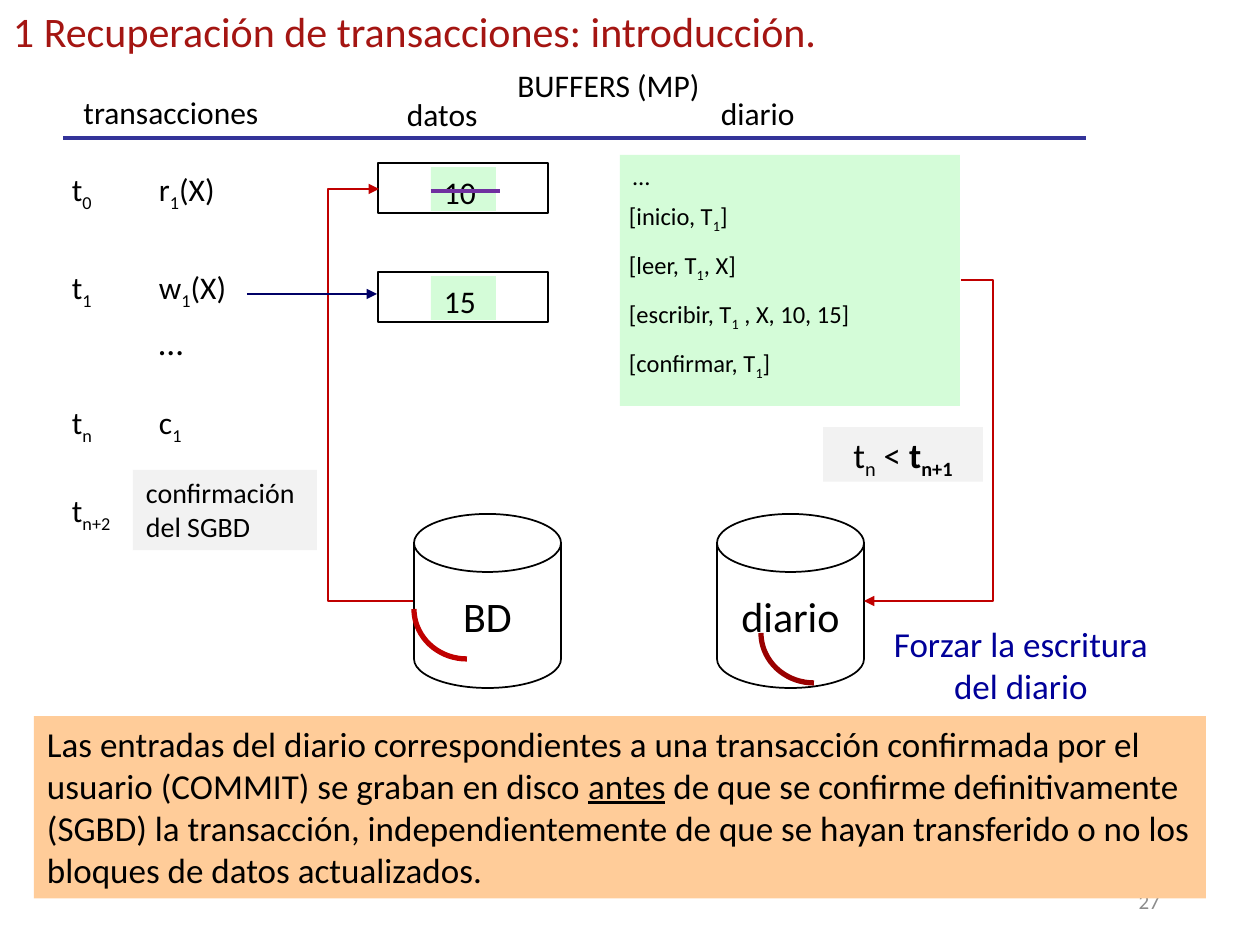
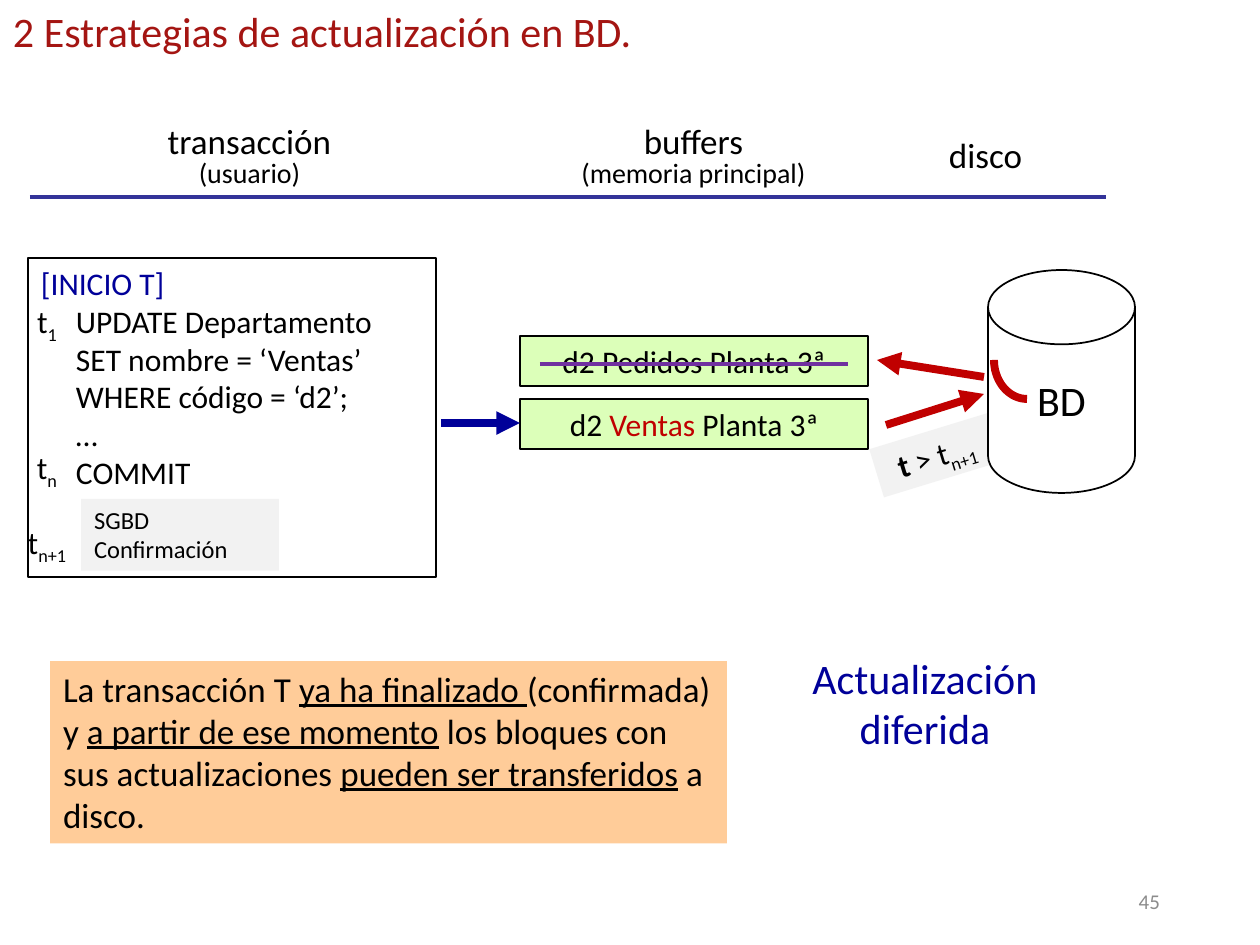
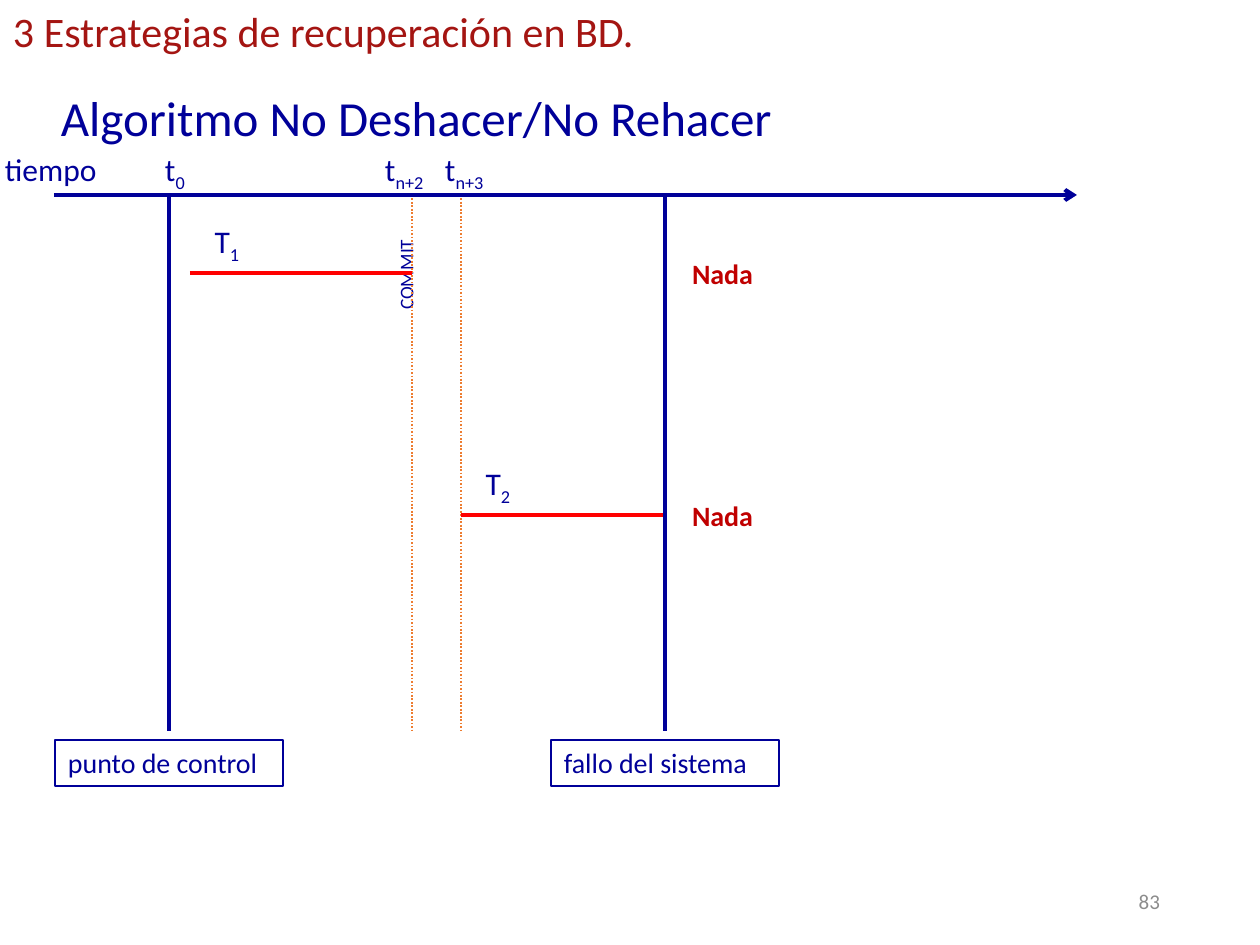
"""Builds three slides on transaction recovery and update strategies in databases."""
import math

from lxml import etree
from pptx import Presentation
from pptx.dml.color import RGBColor
from pptx.enum.dml import MSO_LINE
from pptx.enum.shapes import MSO_CONNECTOR, MSO_SHAPE
from pptx.enum.text import MSO_ANCHOR, MSO_AUTO_SIZE, PP_ALIGN
from pptx.oxml.ns import qn
from pptx.util import Pt

PX = 914400 / 126
FONT = "Calibri"
TITLE_ONLY = 5
RECT, DISK = MSO_SHAPE.RECTANGLE, MSO_SHAPE.FLOWCHART_MAGNETIC_DISK
LEFT, CENTER, RIGHT = PP_ALIGN.LEFT, PP_ALIGN.CENTER, PP_ALIGN.RIGHT
TOP, MIDDLE = MSO_ANCHOR.TOP, MSO_ANCHOR.MIDDLE
STRAIGHT, ELBOW = MSO_CONNECTOR.STRAIGHT, MSO_CONNECTOR.ELBOW
DOTTED = MSO_LINE.ROUND_DOT
NO_AUTO_SIZE = MSO_AUTO_SIZE.NONE

COLORS = {
    "black": "000000", "white": "FFFFFF", "title": "A41512", "number": "8C8C8C",
    "rule": "333399", "navy": "000099", "dark navy": "000066", "red": "C00000",
    "dark red": "990000", "bright red": "FF0000", "purple": "7030A0",
    "orange": "ED7D31", "peach": "FFCC99", "mint": "D4FCD8", "lime": "DCFFB9",
    "gray": "F2F2F2",
}

# In texts: ~subscript~, _underlined_, *bold*, ^red^.
BASE = {"size": 18, "width": 124, "color": "black", "align": LEFT, "anchor": TOP,
        "inset": 13}
TITLE = {"size": 24, "width": 837, "color": "title"}
NUMBER = {"size": 12, "width": 283, "height": 50, "color": "number",
          "align": RIGHT, "anchor": MIDDLE}
CENTERED = {"align": CENTER}
MOMENT = {"width": 74}
MOMENT_CENTERED = {**MOMENT, **CENTERED}
NAVY = {"color": "navy"}
NAVY_MOMENT = {**NAVY, **MOMENT}
NAVY_LABEL = {**NAVY, **MOMENT_CENTERED}
VERTICAL = {**NAVY, **CENTERED, "size": 11, "rotation": 270}
SUBTITLE = {**NAVY, "size": 28, "width": 820}
TIME = {**NAVY, "inset": 0}
FRAME = {"line": "black", "width": 170}
NAVY_FRAME = {**NAVY, "line": "navy", "size": 16, "width": 228}
SLOGAN = {**NAVY, **CENTERED, "width": 300, "rows": 2}
BIG_SLOGAN = {**SLOGAN, "size": 24}
SLOGAN = {**SLOGAN, "size": 20}
NOTE = {"fill": "peach", "size": 20, "rows": 4}
WIDE_NOTE = {**NOTE, "width": 1172}
NARROW_NOTE = {**NOTE, "width": 677}
TAG = {"fill": "gray"}
CONFIRMATION = {**TAG, "size": 16, "width": 184, "rows": 2}
SMALL_CONFIRMATION = {**TAG, "size": 14, "width": 198}
ORDER = {**TAG, **CENTERED, "size": 20, "width": 160}
TILTED_TAG = {**TAG, **CENTERED, "rotation": 343}
RECORD = {**FRAME, **CENTERED, "fill": "lime", "width": 348, "inset": 0}
STORE = {**CENTERED, "shape": DISK, "fill": "white", "line": "black", "size": 24,
         "width": 147, "height": 174, "anchor": MIDDLE}
TALL_STORE = {**STORE, "height": 223}
VALUE = {"fill": "mint", "width": 65, "height": 44}
LOG_PANEL = {"fill": "mint", "size": 14, "width": 340, "height": 251}
LOG_ENTRY = {"size": 14, "width": 315}
ELLIPSIS = {"size": 20, "height": 25, "spacing": 0.15}
INDENTED = {"left": 76, "width": 315}
TRANSACTIONS = {**INDENTED, **CENTERED}
DISK_HEADING = {**INDENTED, "size": 20}
HEADING = {**TRANSACTIONS, "size": 20, "width": 416, "height": 83,
           "later": {"size": 16, "spacing": 0.85}}
CODE = {**NAVY, **FRAME, "width": 408, "height": 319,
        "later": {"color": "black", "indent": 35}}
OUTCOME = {"color": "red", "bold": True, "size": 16, "width": 95}

THIN, MEDIUM, THICK = 1, 2.25, 4.5
ARROW = {"tail": "triangle"}
PENS = {
    "rule": ("rule", MEDIUM, {}),
    "strike": ("purple", MEDIUM, {}),
    "transfer": ("red", THIN, ARROW),
    "write": ("dark navy", THIN, ARROW),
    "thick red": ("red", THICK, ARROW),
    "thick navy": ("navy", THICK, ARROW),
    "time": ("navy", MEDIUM, {"tail": "arrow"}),
    "event": ("navy", MEDIUM, {}),
    "instant": ("orange", THIN, {"dash": DOTTED}),
    "activity": ("bright red", MEDIUM, {}),
}

STEPS = [("t~0~", "r~1~(X)", 164), ("t~1~", "w~1~(X)", 262), ("t~n~", "c~1~", 397)]
LOG = ["[inicio, T~1~]", "[leer, T~1~, X]", "[escribir, T~1~ , X, 10, 15]",
       "[confirmar, T~1~]"]
VALUES = [("10", 163), ("15", 272)]
HEADINGS = [("transacción\n(usuario)", 10), ("buffers\n(memoria principal)", 454)]
CODE_MOMENTS = [("t~1~", 296), ("t~n~", 442), ("t~n+1~", 517)]
RECORDS = [("d2 Pedidos Planta 3ª", 336), ("d2 ^Ventas^ Planta 3ª", 399)]
AXIS, BOTTOM = 195, 731
CHECKPOINT, COMMIT, START, FAILURE = 169, 412, 461, 665
TIMES = [("t~0~", 152), ("t~n+2~", 372), ("t~n+3~", 432)]
ACTIVITIES = [("T~1~", 190, COMMIT, 273), ("T~2~", START, FAILURE, 515)]
EVENTS = [("punto de control", CHECKPOINT), ("fallo del sistema", FAILURE)]


def level(left, right, y, pen):
    return (left, y), (right, y), pen


def upright(x, pen):
    return (x, AXIS), (x, BOTTOM), pen


SLIDES = [
    {
        "title": "1 Recuperación de transacciones: introducción.",
        "number": "27",
        "shapes": [
            ("transacciones", -18, 87, TRANSACTIONS),
            ("datos", 394, 89, {}),
            ("diario", 708, 88, {}),
            ("BUFFERS (MP)", 500, 60, {**CENTERED, "width": 217}),
            *[(moment, 59, top, MOMENT) for moment, _, top in STEPS],
            *[(operation, 146, top, {}) for _, operation, top in STEPS],
            ("t~n+2~", 59, 485, MOMENT),
            ("…", 146, 344, ELLIPSIS),
            ("confirmación del SGBD", 133, 470, CONFIRMATION),
            ("…", 620, 155, LOG_PANEL),
            *[(entry, 616, 195 + 49 * row, LOG_ENTRY) for row, entry in enumerate(LOG)],
            *[("", 378, top, FRAME) for _, top in VALUES],
            *[(value, 431, top + 4, VALUE) for value, top in VALUES],
            ("BD", 414, 514, STORE),
            ("diario", 717, 514, STORE),
            ("t~n~ < *t~n+1~*", 823, 427, ORDER),
            ("Forzar la escritura del diario", 871, 616, SLOGAN),
            ("Las entradas del diario correspondientes a una transacción confirmada "
             "por el usuario (COMMIT) se graban en disco _antes_ de que se confirme "
             "definitivamente (SGBD) la transacción, independientemente de que se "
             "hayan transferido o no los bloques de datos actualizados.",
             34, 716, WIDE_NOTE),
        ],
        "lines": [
            level(63, 1086, 138, "rule"),
            ((413, 601), (379, 189), "transfer", 328),
            ((961, 280), (864, 601), "transfer", 993),
            level(247, 377, 294, "write"),
            level(431, 500, 191, "strike"),
        ],
        "arcs": [(414, 609, 53, 50, "red", 3), (761, 633, 53, 50, "dark red", 3)],
    },
    {
        "title": "2 Estrategias de actualización en BD.",
        "number": "45",
        "shapes": [
            *[(text, left, 113, HEADING) for text, left in HEADINGS],
            ("disco", 873, 127, DISK_HEADING),
            ("[INICIO T]\nUPDATE Departamento\nSET nombre = ‘Ventas’\n"
             "WHERE código = ‘d2’;\n…\nCOMMIT", 28, 258, CODE),
            *[(text, 10, top, MOMENT_CENTERED) for text, top in CODE_MOMENTS],
            ("SGBD\nConfirmación", 81, 499, SMALL_CONFIRMATION),
            *[(text, 520, top, RECORD) for text, top in RECORDS],
            ("*t* > t~n+1~", 874, 430, TILTED_TAG),
            ("BD", 988, 270, TALL_STORE),
            ("La transacción T _ya ha finalizado _(confirmada) y _a partir de ese "
             "momento_ los bloques con sus actualizaciones _pueden ser "
             "transferidos_ a disco.", 50, 661, NARROW_NOTE),
            ("Actualización diferida", 775, 646, BIG_SLOGAN),
        ],
        "lines": [
            level(30, 1106, 197, "rule"),
            ((984, 377), (877, 360), "thick red"),
            ((886, 425), (984, 394), "thick red"),
            level(441, 520, 423, "thick navy"),
            level(540, 848, 364, "strike"),
        ],
        "arcs": [(994, 360, 33, 39, "red", THICK)],
    },
    {
        "title": "3 Estrategias de recuperación en BD.",
        "number": "83",
        "shapes": [
            ("Algoritmo No Deshacer/No Rehacer", 48, 82, SUBTITLE),
            ("tiempo", 5, 144, TIME),
            *[(text, left, 144, NAVY_MOMENT) for text, left in TIMES],
            *[(text, left, y - 57, NAVY_LABEL) for text, left, _, y in ACTIVITIES],
            *[("Nada", 679, y - 22, OUTCOME) for *_, y in ACTIVITIES],
            ("COMMIT", 344, 257, VERTICAL),
            *[(text, x - 114, 740, NAVY_FRAME) for text, x in EVENTS],
        ],
        "lines": [
            *[upright(x, "instant") for x in (COMMIT, START)],
            level(54, 1077, AXIS, "time"),
            *[level(left, right, y, "activity") for _, left, right, y in ACTIVITIES],
            *[upright(x, "event") for _, x in EVENTS],
        ],
        "arcs": [],
    },
]


def emu(*lengths):
    return [round(length * PX) for length in lengths]


def rgb(name):
    return RGBColor.from_string(COLORS[name])


def add_runs(paragraph, text):
    active, piece = set(), ""
    for character in text + "\n":
        if character not in "~_*^\n":
            piece += character
            continue
        if piece:
            run = paragraph.add_run()
            run.text = piece
            if "~" in active:
                run.font._element.set("baseline", "-25000")
            if "_" in active:
                run.font.underline = True
            if "*" in active:
                run.font.bold = True
            if "^" in active:
                run.font.color.rgb = rgb("red")
        active ^= {character}
        piece = ""


def write(shape, text, style):
    frame = shape.text_frame
    frame.word_wrap = True
    frame.auto_size = NO_AUTO_SIZE
    frame.vertical_anchor = style["anchor"]
    inset = style["inset"]
    frame.margin_left, frame.margin_right, frame.margin_top, frame.margin_bottom = emu(
        style.get("left", inset), inset, 6, 6)
    for index, line in enumerate(text.split("\n")):
        paragraph = frame.add_paragraph() if index else frame.paragraphs[0]
        if index:
            style = {**style, **style.get("later", {})}
        paragraph.alignment = style["align"]
        if "spacing" in style:
            paragraph.line_spacing = style["spacing"]
        if "indent" in style:
            paragraph._p.get_or_add_pPr().set("marL", str(*emu(style["indent"])))
        font = paragraph.font
        font.name, font.size = FONT, Pt(style["size"])
        font.bold = style.get("bold", False)
        font.color.rgb = rgb(style["color"])
        add_runs(paragraph, line)


def box_height(text, style):
    rows = style.get("rows", len(text.split("\n")))
    return style.get("height", 2.13 * style["size"] * rows + 12)


def paint(shape, fill, line, width):
    shape.shadow.inherit = False
    if fill:
        shape.fill.solid()
        shape.fill.fore_color.rgb = rgb(fill)
    else:
        shape.fill.background()
    if line:
        shape.line.color.rgb = rgb(line)
        shape.line.width = Pt(width)
    else:
        shape.line.fill.background()


def add_box(slide, text, left, top, options):
    style = {**BASE, **options}
    box = emu(left, top, style["width"], box_height(text, style))
    if "fill" in style or "line" in style:
        shape = slide.shapes.add_shape(style.get("shape", RECT), *box)
        paint(shape, style.get("fill"), style.get("line"), THIN)
    else:
        shape = slide.shapes.add_textbox(*box)
    shape.rotation = style.get("rotation", 0)
    if text:
        write(shape, text, style)


def add_line(slide, start, end, pen, via=None):
    color, width, options = PENS[pen]
    kind = ELBOW if via else STRAIGHT
    connector = slide.shapes.add_connector(kind, *emu(*start, *end))
    connector.line.color.rgb = rgb(color)
    connector.line.width = Pt(width)
    if "dash" in options:
        connector.line.dash_style = options["dash"]
    properties = connector._element.spPr
    if "tail" in options:
        etree.SubElement(properties.find(qn("a:ln")), qn("a:tailEnd"), type=options["tail"])
    if via:
        bend = (via - start[0]) / (end[0] - start[0])
        guides = properties.find(qn("a:prstGeom")).find(qn("a:avLst"))
        etree.SubElement(guides, qn("a:gd"), name="adj1", fmla=f"val {round(bend * 100000)}")
    etree.SubElement(properties, qn("a:effectLst"))


def add_arc(slide, left, top, across, down, color, width, steps=18):
    angles = [math.pi / 2 * step / steps for step in range(steps + 1)]
    first, *others = [
        emu(left + across * (1 - math.cos(angle)), top + down * math.sin(angle))
        for angle in angles]
    builder = slide.shapes.build_freeform(*first)
    builder.add_line_segments(others, close=False)
    paint(builder.convert_to_shape(), None, color, width)


def add_slide(presentation, content):
    slide = presentation.slides.add_slide(presentation.slide_layouts[TITLE_ONLY])
    title, style = slide.shapes.title, {**BASE, **TITLE}
    title.left, title.top, title.width, title.height = emu(
        0, -1, style["width"], box_height(content["title"], style))
    write(title, content["title"], style)
    add_box(slide, content["number"], 890, 876, NUMBER)
    for item in content["shapes"]:
        add_box(slide, *item)
    for item in content["lines"]:
        add_line(slide, *item)
    for item in content["arcs"]:
        add_arc(slide, *item)


def main():
    presentation = Presentation()
    presentation.slide_width, presentation.slide_height = emu(1260, 945)
    for content in SLIDES:
        add_slide(presentation, content)
    presentation.save("out.pptx")


if __name__ == "__main__":
    main()
